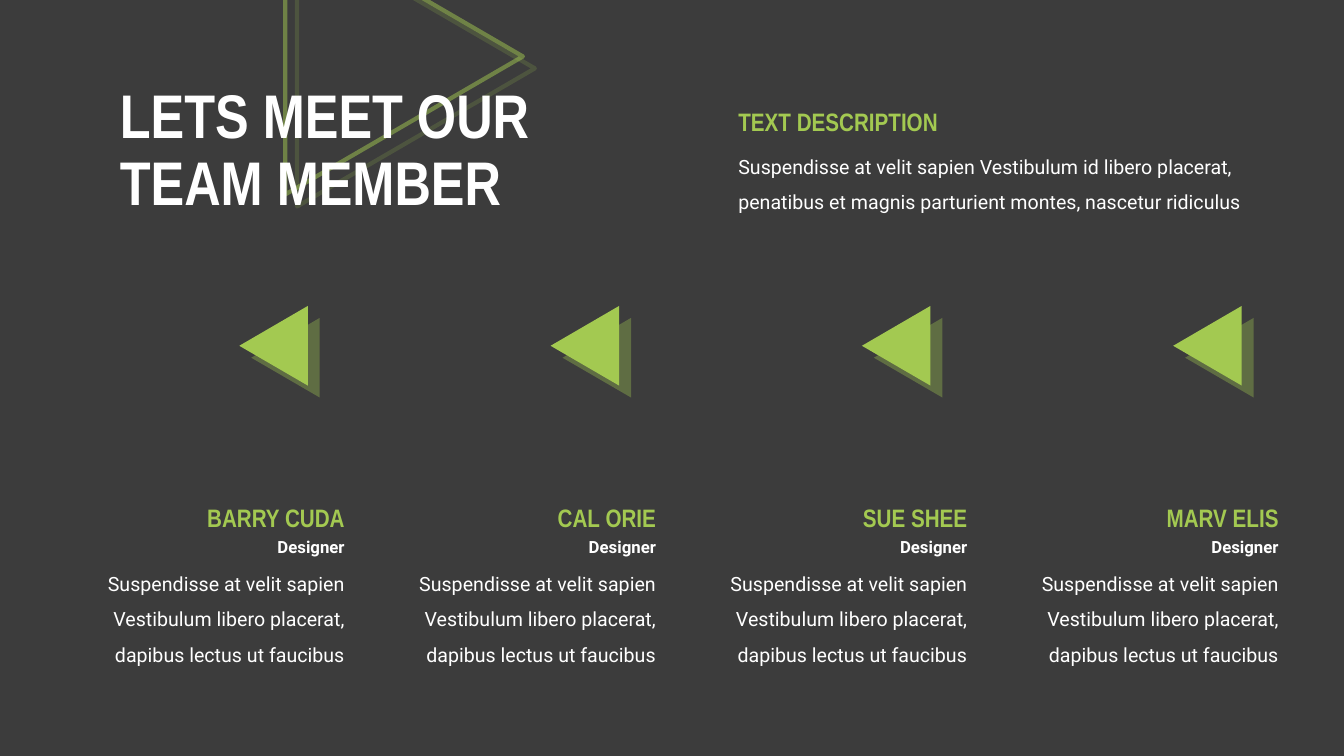
from lxml import etree
from pptx import Presentation, util as u
from pptx.dml.color import RGBColor
from pptx.enum import shapes, text
from pptx.oxml import ns

COLORS = {"background": "3C3C3C", "green": "A3C951", "white": "FFFFFF"}
FORMATS = {
    "title": {"size": u.Pt(44), "name": "Arial Narrow", "bold": True},
    "heading": {"size": u.Pt(18), "name": "Arial Narrow", "bold": True},
    "role": {"size": u.Pt(12), "name": "Roboto", "bold": True},
    "body": {"size": u.Pt(14), "name": "Roboto", "bold": False},
}
SPACING = {"title": 0.9, "body": 1.5}
MEMBERS = ["BARRY CUDA", "CAL ORIE", "SUE SHEE", "MARV ELIS"]
MEMBER_TEXT = "Suspendisse at velit sapien Vestibulum libero placerat, dapibus lectus ut faucibus"
INTRO = (
    "Suspendisse at velit sapien Vestibulum id libero placerat, "
    "penatibus et magnis parturient montes, nascetur ridiculus"
)


class TeamSlide:
    """Holds the style and the current slide and draws its elements."""

    def __init__(self, presentation):
        self.slide = presentation.slides.add_slide(presentation.slide_layouts[5])
        fill = self.slide.background.fill
        fill.solid()
        fill.fore_color.rgb = self.color("background")

    def color(self, name):
        return RGBColor.from_string(COLORS[name])

    def format(self, paragraph, style, color, align):
        paragraph.alignment = align
        if style in SPACING:
            paragraph.line_spacing = SPACING[style]
        for run in paragraph.runs:
            for key, value in FORMATS[style].items():
                setattr(run.font, key, value)
            run.font.color.rgb = self.color(color)

    def title(self, lines, box):
        shape = self.slide.shapes.title
        shape.left, shape.top, shape.width, shape.height = map(u.Inches, box)
        shape.text_frame.vertical_anchor = text.MSO_ANCHOR.MIDDLE
        shape.text_frame.auto_size = text.MSO_AUTO_SIZE.NONE
        paragraph = shape.text_frame.paragraphs[0]
        for index, line in enumerate(lines):
            if index:
                paragraph.add_line_break()
            paragraph.add_run().text = line
        self.format(paragraph, "title", "white", text.PP_ALIGN.LEFT)

    def text(self, words, box, style, color, align=text.PP_ALIGN.LEFT):
        frame = self.slide.shapes.add_textbox(*map(u.Inches, box)).text_frame
        frame.word_wrap = True
        frame.auto_size = text.MSO_AUTO_SIZE.SHAPE_TO_FIT_TEXT
        frame.text = words
        self.format(frame.paragraphs[0], style, color, align)

    def alpha(self, color, percent):
        etree.SubElement(color, ns.qn("a:alpha"), val=str(percent * 1000))

    def triangle(self, box, rotation):
        shape = self.slide.shapes.add_shape(
            shapes.MSO_SHAPE.ISOSCELES_TRIANGLE, *map(u.Inches, box)
        )
        shape.rotation = rotation
        shape.shadow.inherit = False
        effects = shape.element.spPr.find(ns.qn("a:effectLst"))
        shadow = etree.SubElement(
            effects, ns.qn("a:outerShdw"), blurRad="0", dist=str(u.Pt(12.1)),
            dir="2700000", algn="tl", rotWithShape="0",
        )
        color = etree.SubElement(shadow, ns.qn("a:srgbClr"), val=COLORS["green"])
        self.alpha(color, 35)
        return shape

    def solid_triangle(self, box, rotation):
        shape = self.triangle(box, rotation)
        shape.fill.solid()
        shape.fill.fore_color.rgb = self.color("green")
        shape.line.fill.background()

    def outline_triangle(self, box, rotation):
        shape = self.triangle(box, rotation)
        shape.fill.background()
        shape.line.width = u.Pt(3)
        shape.line.color.rgb = self.color("green")
        line = shape.element.spPr.find(ns.qn("a:ln"))
        self.alpha(line.find(".//" + ns.qn("a:srgbClr")), 50)
        self.slide.shapes.title.element.addprevious(shape.element)

    def member(self, name, left):
        right = text.PP_ALIGN.RIGHT
        self.text(MEMBER_TEXT, (left, 5.51, 2.84, 1.15), "body", "white", right)
        self.text(name, (left + 0.99, 4.93, 1.85, 0.4), "heading", "green", right)
        self.text("Designer", (left + 1.8, 5.28, 1.04, 0.3), "role", "white", right)
        self.solid_triangle((left + 1.64, 3.09, 0.79, 0.68), 270)


def main():
    presentation = Presentation()
    presentation.slide_width = u.Inches(13.34)
    presentation.slide_height = u.Inches(7.5)
    team = TeamSlide(presentation)
    team.outline_triangle((2.64, -0.62, 2.74, 2.36), 90)
    team.title(["LETS MEET OUR", "TEAM MEMBER"], (1.09, 0.72, 5.62, 1.58))
    for index, name in enumerate(MEMBERS):
        team.member(name, 0.68 + index * 3.09)
    team.text(INTRO, (7.23, 1.37, 5.55, 0.8), "body", "white")
    team.text("TEXT DESCRIPTION", (7.23, 1.01, 2.45, 0.7), "heading", "green")
    presentation.save("out.pptx")


if __name__ == "__main__":
    main()
